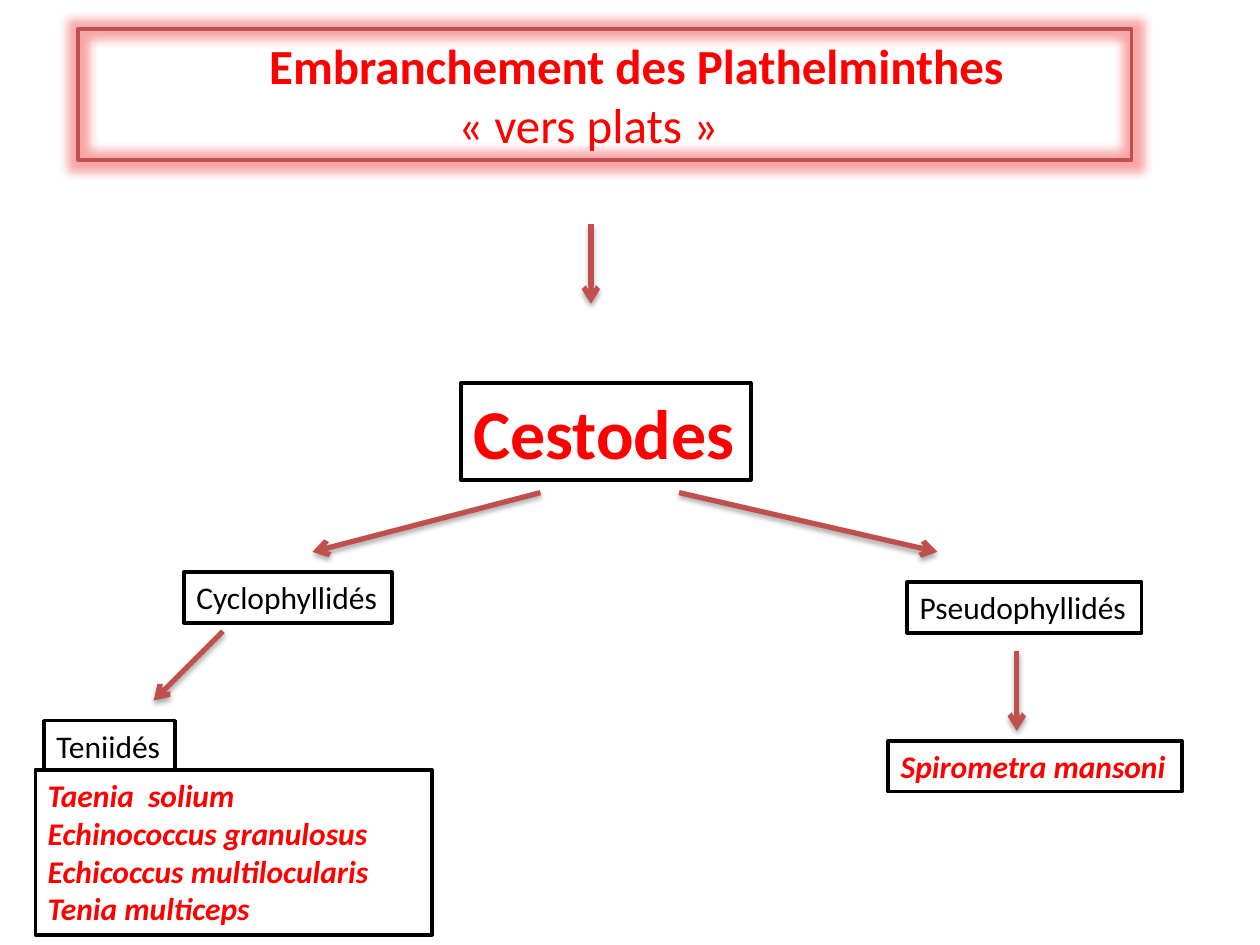
from lxml.etree import SubElement
from pptx import Presentation
from pptx.dml.color import RGBColor
from pptx.enum.shapes import MSO_CONNECTOR as CONN
from pptx.enum.text import MSO_ANCHOR, MSO_AUTO_SIZE as FIT, PP_ALIGN
from pptx.oxml import parse_xml
from pptx.oxml.ns import nsdecls, qn
from pptx.util import Pt

COLORS = {"red": "FF0000", "black": "000000", "white": "FFFFFF",
          "brick": "C0504D", "glow": "EB2220"}


def rgb(name):
    return RGBColor.from_string(COLORS[name])


def add_text(tf, text, size=18, color="black", bold=False, italic=False, indent=0, first=True):
    p = tf.paragraphs[0] if first else tf.add_paragraph()
    p.alignment = PP_ALIGN.LEFT
    if indent:
        p._p.get_or_add_pPr().set("marL", str(Pt(indent)))
    r = p.add_run()
    r.text = text
    f = r.font
    f.name, f.size, f.bold, f.italic = "Calibri", Pt(size), bold, italic
    f.color.rgb = rgb(color)


prs = Presentation()
prs.slide_width, prs.slide_height = Pt(720), Pt(540)
s = prs.slides.add_slide(prs.slide_layouts[5])

# Title with a glowing frame
title = s.shapes.title
title.left, title.top, title.width, title.height = Pt(44.64), Pt(16.56), Pt(601.92), Pt(74.88)
title.line.color.rgb = rgb("brick")
title.line.width = Pt(2)
title._element.spPr.append(parse_xml(
    f'<a:effectLst {nsdecls("a")}><a:glow rad="{Pt(11)}"><a:srgbClr val="{COLORS["glow"]}">'
    '<a:alpha val="40000"/></a:srgbClr></a:glow></a:effectLst>'))
tf = title.text_frame
tf.auto_size = FIT.NONE
tf.vertical_anchor = MSO_ANCHOR.TOP
add_text(tf, "Embranchement des Plathelminthes", size=28, color="red", bold=True, indent=102)
add_text(tf, "« vers plats »", size=28, color="red", indent=210, first=False)

# Boxes: left, top, width, height, wrap, lines, format
species = {"color": "red", "bold": True, "italic": True}
boxes = [
    (263.52, 218.88, 165.6, 55.44, False, ["Cestodes"], {"size": 40, "color": "red", "bold": True}),
    (105.12, 326.88, 118.8, 29, False, ["Cyclophyllidés"], {}),
    (518.4, 332.64, 133.92, 29, False, ["Pseudophyllidés"], {}),
    (507.6, 423.36, 167.76, 29, False, ["Spirometra mansoni"], species),
    (25.2, 411.84, 74.88, 29, False, ["Teniidés"], {}),
    (20.16, 439.92, 226.8, 94.32, True,
     ["Taenia  solium", "Echinococcus granulosus", "Echicoccus multilocularis",
      "Tenia multiceps"], species),
]
for left, top, width, height, wrap, lines, style in boxes:
    box = s.shapes.add_textbox(Pt(left), Pt(top), Pt(width), Pt(height))
    box.fill.solid()
    box.fill.fore_color.rgb = rgb("white")
    box.line.color.rgb = rgb("black")
    box.line.width = Pt(2)
    tf = box.text_frame
    tf.word_wrap = wrap
    tf.auto_size = FIT.SHAPE_TO_FIT_TEXT
    for i, line in enumerate(lines):
        add_text(tf, line, first=i == 0, **style)

# Arrows between the levels: x1, y1, x2, y2
arrows = [
    (337.68, 128.16, 337.68, 173.52),
    (388.08, 281.52, 535.68, 315.36),
    (308.88, 281.52, 178.56, 315.36),
    (581.04, 372.24, 581.04, 417.6),
    (127.44, 360.72, 87.84, 400.32),
]
for ends in arrows:
    arrow = s.shapes.add_connector(CONN.STRAIGHT, *map(Pt, ends))
    arrow.line.color.rgb = rgb("brick")
    arrow.line.width = Pt(3)
    SubElement(arrow.line._get_or_add_ln(), qn("a:tailEnd"), type="arrow")
    arrow._element.spPr.append(parse_xml(
        f'<a:effectLst {nsdecls("a")}><a:outerShdw blurRad="{Pt(3.1)}" dist="{Pt(1.8)}" '
        f'dir="5400000" rotWithShape="0"><a:srgbClr val="{COLORS["black"]}">'
        '<a:alpha val="35000"/></a:srgbClr></a:outerShdw></a:effectLst>'))

prs.save("out.pptx")
